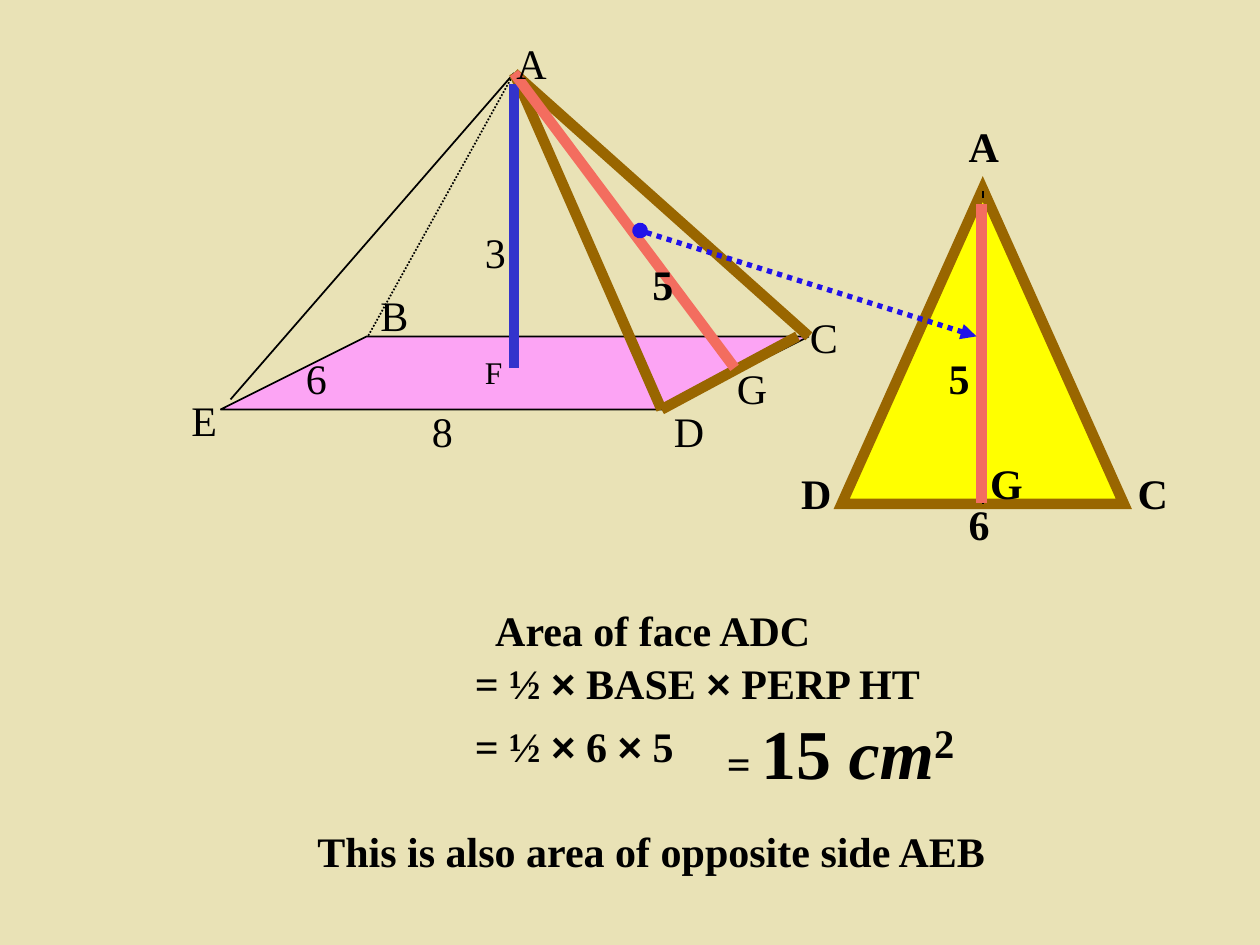
import pptx
import pptx.util
import pptx.dml.color
import pptx.enum.dml
import pptx.enum.shapes
import pptx.enum.text
import pptx.oxml.ns
import lxml.etree

Inches = pptx.util.Inches
Color = pptx.dml.color.RGBColor
Dash = pptx.enum.dml.MSO_LINE
Preset = pptx.enum.shapes.MSO_SHAPE

SAND = Color(0xE9, 0xE2, 0xB6)
PINK = Color(0xFC, 0xA4, 0xF4)
YELLOW = Color(0xFF, 0xFF, 0x00)
BROWN = Color(0x99, 0x66, 0x00)
BLUE = Color(0x33, 0x33, 0xCC)
BRIGHT_BLUE = Color(0x21, 0x12, 0xEA)
CORAL = Color(0xF3, 0x6D, 0x5F)
BLACK = Color(0x00, 0x00, 0x00)

SERIF = "Times New Roman"
SANS = "Arial"
THICK = 6


def add_element(parent, tag, **attributes):
    return lxml.etree.SubElement(parent, pptx.oxml.ns.qn(tag), attributes)


def write_text(box, *parts, size=24, bold=False):
    frame = box.text_frame
    frame.word_wrap = True
    frame.vertical_anchor = pptx.enum.text.MSO_ANCHOR.TOP
    frame.auto_size = pptx.enum.text.MSO_AUTO_SIZE.NONE
    para = frame.paragraphs[0]
    para.alignment = pptx.enum.text.PP_ALIGN.LEFT
    para.space_before = pptx.util.Pt(0)
    para.line_spacing = 1
    for part in parts:
        text, style = part if isinstance(part, tuple) else (part, {})
        span = para.add_run()
        span.text = text
        font = span.font
        font.name = style.get("font", SERIF)
        font.size = pptx.util.Pt(style.get("size", size))
        font.bold = bold
        font.italic = style.get("italic", False)
        font.color.rgb = BLACK
        if style.get("superscript"):
            span.font._element.set("baseline", "30000")


def add_text(shapes, area, *parts, **style):
    box = shapes.add_textbox(*map(Inches, area))
    write_text(box, *parts, **style)


def add_line(shapes, start, end, color=BLACK, width=1, dash=None):
    line = shapes.add_connector(pptx.enum.shapes.MSO_CONNECTOR.STRAIGHT,
                                *map(Inches, (*start, *end)))
    line.line.color.rgb = color
    line.line.width = pptx.util.Pt(width)
    if dash:
        line.line.dash_style = dash
    add_element(line._element.spPr, "a:effectLst")
    return line


def add_solid(shapes, preset, area, fill, color, width, adjustment):
    shape = shapes.add_shape(preset, *map(Inches, area))
    shape.adjustments[0] = adjustment
    shape.shadow.inherit = False
    shape.fill.solid()
    shape.fill.fore_color.rgb = fill
    shape.line.color.rgb = color
    shape.line.width = pptx.util.Pt(width)
    add_element(shape.line._get_or_add_ln(), "a:miter", lim="800000")


def draw_pyramid(page, left, top):
    def at(x, y):
        return left + x, top + y

    shapes = page.shapes.add_group_shape().shapes
    apex, back_left, back_right = at(2.66, 0.33), at(1.5, 2.42), at(5, 2.42)
    front_left, front_right = at(0.41, 2.92), at(3.83, 3)
    add_solid(shapes, Preset.PARALLELOGRAM, (*at(0.33, 2.42), 4.67, 0.58),
              PINK, BLACK, 1, 2)
    add_line(shapes, apex, back_left, dash=Dash.ROUND_DOT)
    add_line(shapes, apex, front_left)
    for corner in (front_right, back_right):
        add_line(shapes, apex, corner, BROWN, THICK)
    add_line(shapes, at(4.91, 2.42), front_right, BROWN, THICK)
    add_line(shapes, at(2.66, 0.42), at(2.66, 2.67), BLUE, THICK)
    add_line(shapes, apex, at(4.41, 2.67), CORAL, THICK)
    labels = (("E", 0, 2.83), ("A", 2.58, 0), ("D", 3.83, 2.92),
              ("C", 4.91, 2.17), ("B", 1.5, 2), ("8", 1.91, 2.92),
              ("G", 4.33, 2.58), ("3", 2.33, 1.5), ("6", 0.91, 2.5))
    for text, x, y in labels:
        add_text(shapes, (*at(x, y), 0.58, 0.5), text)
    add_text(shapes, (*at(2.33, 2.5), 0.42, 0.4), "F", size=18)


def draw_face(page, left, top):
    def at(x, y):
        return left + x, top + y

    shapes = page.shapes.add_group_shape().shapes
    add_solid(shapes, Preset.ISOSCELES_TRIANGLE, (*at(0.42, 0.59), 2.24, 2.5),
              YELLOW, BROWN, THICK, 0.5)
    add_line(shapes, at(1.54, 0.61), at(1.54, 3.11), dash=Dash.DASH_DOT)
    add_line(shapes, at(1.53, 0.71), at(1.53, 3.08), CORAL, THICK)
    labels = (("6", 1.33, 3), ("A", 1.33, 0), ("C", 2.67, 2.75),
              ("D", 0, 2.75), ("G", 1.5, 2.67), ("5", 1.17, 1.84))
    for text, x, y in labels:
        add_text(shapes, (*at(x, y), 0.5, 0.5), text, bold=True)


def draw_slant_height(page, left, top):
    pointer = add_line(page.shapes, (left, top), (left + 2.67, top + 0.84),
                       BRIGHT_BLUE, 3, Dash.ROUND_DOT)
    outline = pointer.line._get_or_add_ln()
    add_element(outline, "a:headEnd", type="oval")
    add_element(outline, "a:tailEnd", type="triangle")
    add_text(page.shapes, (left, top + 0.17, 0.5, 0.5), "5", bold=True)


def write_working(page, left, top):
    times = ("×", {"font": SANS})
    title = page.shapes.title
    title.left, title.top = Inches(left + 1.41), Inches(top)
    title.width, title.height = Inches(3.25), Inches(0.5)
    write_text(title, "Area of face ADC", bold=True)
    lines = (
        (1.25, 0.42, 4, 0.5, ("= ½ ", times, " BASE ", times, " PERP HT")),
        (1.25, 0.92, 1.83, 0.5, ("= ½ ", times, " 6 ", times, " 5")),
        (3.25, 0.83, 2.58, 0.77,
         ("= ", ("15 ", {"size": 40}), ("cm", {"size": 40, "italic": True}),
          ("2", {"size": 40, "superscript": True}))),
        (0, 1.75, 5.92, 0.5, ("This is also area of opposite side AEB",)),
    )
    for x, y, width, height, parts in lines:
        add_text(page.shapes, (left + x, top + y, width, height),
                 *parts, bold=True)


def main():
    deck = pptx.Presentation()
    deck.slide_width, deck.slide_height = Inches(10), Inches(7.5)
    page = deck.slides.add_slide(deck.slide_layouts[5])
    page.background.fill.solid()
    page.background.fill.fore_color.rgb = SAND
    draw_pyramid(page, 1.42, 0.25)
    draw_face(page, 6.26, 0.91)
    draw_slant_height(page, 5.08, 1.83)
    write_working(page, 2.42, 4.75)
    deck.save("out.pptx")


if __name__ == "__main__":
    main()
